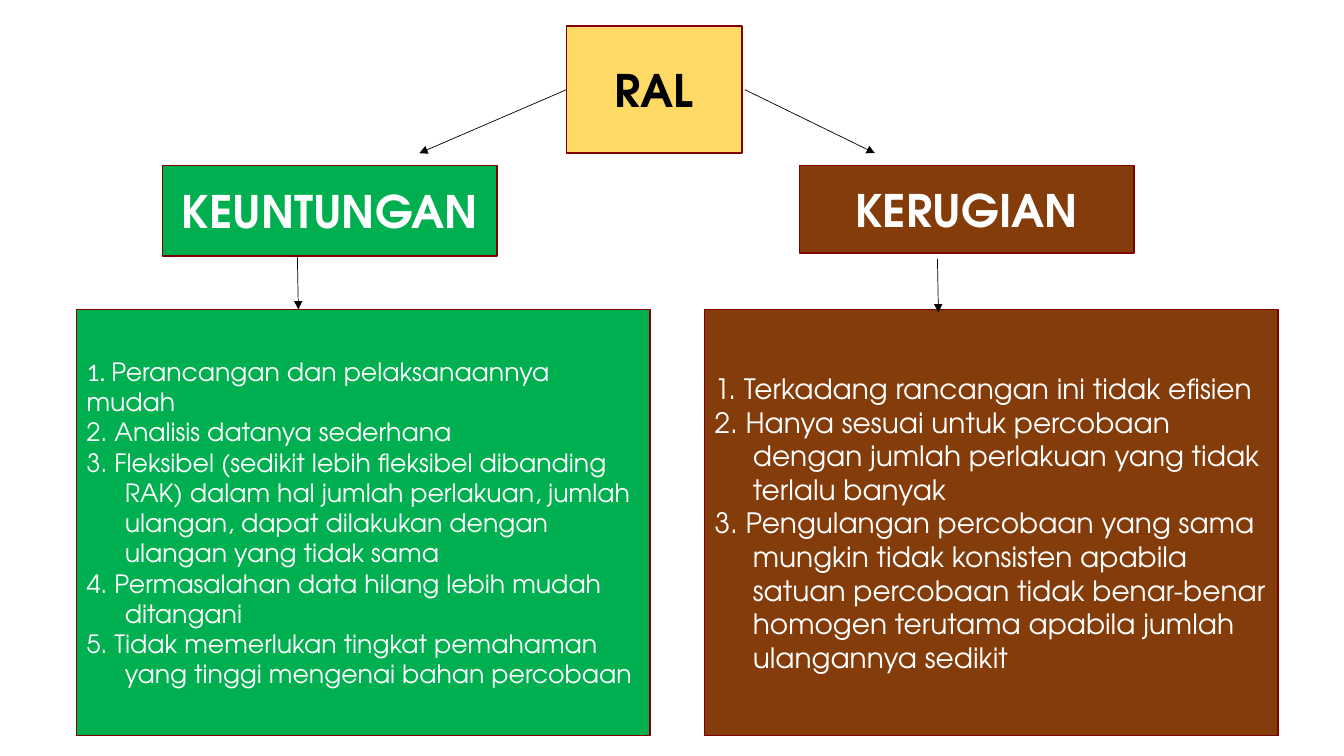
from lxml.etree import SubElement
from pptx import Presentation
from pptx.dml.color import RGBColor
from pptx.enum.shapes import MSO_CONNECTOR, MSO_SHAPE
from pptx.enum.text import MSO_ANCHOR, PP_ALIGN
from pptx.oxml.ns import qn
from pptx.util import Pt

GOLD = RGBColor(0xFF, 0xD9, 0x66)
GREEN = RGBColor(0x00, 0xB0, 0x50)
BROWN = RGBColor(0x84, 0x3C, 0x0B)
MAROON = RGBColor(0x80, 0x00, 0x00)
BLACK = RGBColor(0x00, 0x00, 0x00)
WHITE = RGBColor(0xFF, 0xFF, 0xFF)
MAIN_FONT = "TeX Gyre Adventor"
NUMBER_FONT = "Calibri"
HANGING = 27.36

ADVANTAGES = [
    "1. Perancangan dan pelaksanaannya mudah",
    "2. Analisis datanya sederhana",
    "3. Fleksibel (sedikit lebih fleksibel dibanding RAK) dalam hal jumlah perlakuan, "
    "jumlah ulangan, dapat dilakukan dengan ulangan yang tidak sama",
    "4. Permasalahan data hilang lebih mudah ditangani",
    "5. Tidak memerlukan tingkat pemahaman yang tinggi mengenai bahan percobaan",
]
DRAWBACKS = [
    "1. Terkadang rancangan ini tidak efisien",
    "2. Hanya sesuai untuk percobaan dengan jumlah perlakuan yang tidak terlalu banyak",
    "3. Pengulangan percobaan yang sama mungkin tidak konsisten apabila satuan percobaan "
    "tidak benar-benar homogen terutama apabila jumlah ulangannya sedikit",
]


def add_box(slide, left, top, width, height, fill):
    """Add a maroon-edged rectangle ready for vertically centred text."""
    box = slide.shapes.add_shape(
        MSO_SHAPE.RECTANGLE, Pt(left), Pt(top), Pt(width), Pt(height))
    box.shadow.inherit = False
    box.fill.solid()
    box.fill.fore_color.rgb = fill
    box.line.color.rgb = MAROON
    box.line.width = Pt(1)
    box.text_frame.word_wrap = True
    box.text_frame.vertical_anchor = MSO_ANCHOR.MIDDLE
    return box


def add_span(paragraph, text, size, color, font=MAIN_FONT, bold=False):
    """Append one formatted run to a paragraph."""
    span = paragraph.add_run()
    span.text = text
    span.font.size = Pt(size)
    span.font.color.rgb = color
    span.font.name = font
    span.font.bold = bold


def add_heading(slide, text, left, top, width, height, fill, color):
    """Add a box with a bold centred heading."""
    box = add_box(slide, left, top, width, height, fill)
    paragraph = box.text_frame.paragraphs[0]
    paragraph.alignment = PP_ALIGN.CENTER
    add_span(paragraph, text, 32, color, bold=True)


def add_list(slide, items, left, fill, size, first_number_font=MAIN_FONT):
    """Add a box of numbered items, hanging from the second one on."""
    frame = add_box(slide, left, 221.04, 409.68, 304.56, fill).text_frame
    for index, item in enumerate(items):
        paragraph = frame.add_paragraph() if index else frame.paragraphs[0]
        paragraph.alignment = PP_ALIGN.LEFT
        if index:
            properties = paragraph._p.get_or_add_pPr()
            properties.set("marL", str(Pt(HANGING)))
            properties.set("indent", str(-Pt(HANGING)))
        number, wording = item.split(" ", 1)
        number_font = MAIN_FONT if index else first_number_font
        add_span(paragraph, number + " ", size, WHITE, number_font)
        add_span(paragraph, wording, size, WHITE)


def add_arrow(slide, start_x, start_y, end_x, end_y):
    """Add a thin black arrow."""
    arrow = slide.shapes.add_connector(
        MSO_CONNECTOR.STRAIGHT, Pt(start_x), Pt(start_y), Pt(end_x), Pt(end_y))
    arrow.line.color.rgb = BLACK
    arrow.line.width = Pt(0.5)
    SubElement(arrow.line._get_or_add_ln(), qn("a:tailEnd"), type="triangle")
    SubElement(arrow._element.spPr, qn("a:effectLst"))


def main():
    """Build the slide and save it."""
    deck = Presentation()
    deck.slide_width = Pt(960)
    deck.slide_height = Pt(540)
    slide = deck.slides.add_slide(deck.slide_layouts[6])

    add_heading(slide, "RAL", 404.64, 18.72, 125.28, 90.72, GOLD, BLACK)
    add_heading(slide, "KEUNTUNGAN", 115.92, 118.08, 239.04, 64.8, GREEN, WHITE)
    add_heading(slide, "KERUGIAN", 570.96, 118.08, 239.04, 62.64, BROWN, WHITE)
    add_list(slide, ADVANTAGES, 54.72, GREEN, 18, NUMBER_FONT)
    add_list(slide, DRAWBACKS, 503.28, BROWN, 20)

    add_arrow(slide, 404.64, 64.08, 299.52, 109.44)
    add_arrow(slide, 532.08, 64.08, 624.96, 109.44)
    add_arrow(slide, 212.4, 182.88, 213.12, 221.04)
    add_arrow(slide, 669.6, 185.04, 670.32, 223.2)

    deck.save("out.pptx")


if __name__ == "__main__":
    main()
